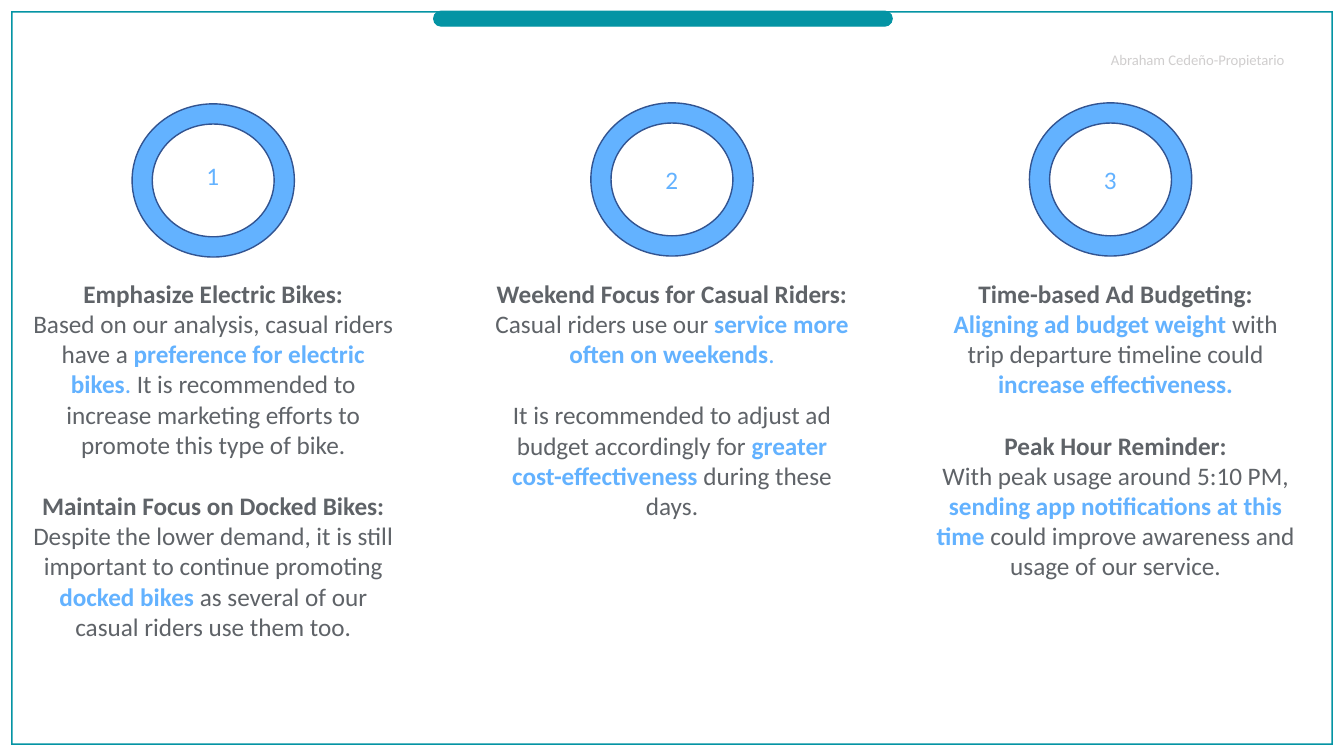
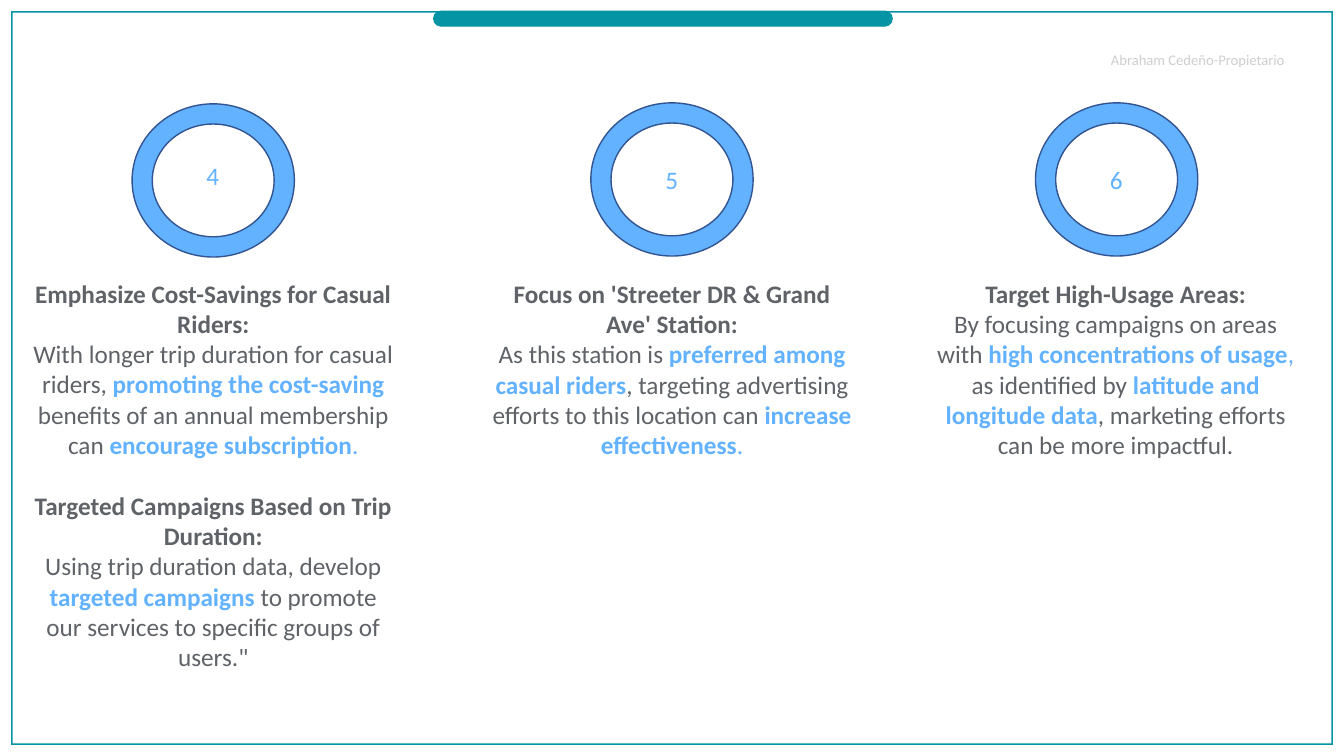
from dataclasses import dataclass

from pptx import Presentation
from pptx.dml.color import RGBColor
from pptx.enum.shapes import MSO_SHAPE
from pptx.enum.text import MSO_AUTO_SIZE, PP_ALIGN
from pptx.util import Inches, Pt


@dataclass(frozen=True)
class Theme:
    """Colours, font and type sizes of the deck."""
    font: str = "Calibri"
    teal: RGBColor = RGBColor(0x04, 0x94, 0xA4)
    accent: RGBColor = RGBColor(0x63, 0xB2, 0xFF)
    ring_line: RGBColor = RGBColor(0x32, 0x54, 0x91)
    text: RGBColor = RGBColor(0x5F, 0x63, 0x68)
    owner: RGBColor = RGBColor(0xD0, 0xCE, 0xCE)
    body_size: float = 18
    owner_size: float = 10.5
    block_gap: float = 22


@dataclass(frozen=True)
class Column:
    """Fixed positions of one column, in inches."""
    text_left: float
    ring_left: float
    ring_top: float
    number_top: float


THEME = Theme()
STYLES = {
    "heading": (THEME.text, True),
    "plain": (THEME.text, False),
    "strong": (THEME.accent, True),
    "light": (THEME.accent, False),
}
LEFT = Column(0.22, 1.31, 1.03, 1.54)
MIDDLE = Column(4.77, 5.86, 1.02, 1.58)
RIGHT = Column(9.17, 10.21, 1.02, 1.58)
RIGHT_SHIFTED = Column(9.17, 10.27, 1.02, 1.58)

SLIDES = [
    [
        (LEFT, "1", 3.74, [
            ("Emphasize Electric Bikes:", [
                ("plain", "Based on our analysis, casual riders have a "),
                ("strong", "preference for electric bikes"),
                ("light", "."),
                ("plain", " It is recommended to increase marketing efforts to promote this type of bike."),
            ]),
            ("Maintain Focus on Docked Bikes:", [
                ("plain", "Despite the lower demand, it is still important to continue promoting "),
                ("strong", "docked bikes "),
                ("plain", "as several of our casual riders use them too."),
            ]),
        ]),
        (MIDDLE, "2", 2.52, [
            ("Weekend Focus for Casual Riders:", [
                ("plain", "Casual riders use our "),
                ("strong", "service more often on weekends"),
                ("light", "."),
            ]),
            (None, [
                ("plain", "It is recommended to adjust ad budget accordingly for "),
                ("strong", "greater cost-effectiveness "),
                ("plain", "during these days."),
            ]),
        ]),
        (RIGHT, "3", 3.13, [
            ("Time-based Ad Budgeting:", [
                ("strong", "Aligning ad budget weight "),
                ("plain", "with trip departure timeline could "),
                ("strong", "increase effectiveness."),
            ]),
            ("Peak Hour Reminder:", [
                ("plain", "With peak usage around 5:10 PM, "),
                ("strong", "sending app notifications at this time "),
                ("plain", "could improve awareness and usage of our service."),
            ]),
        ]),
    ],
    [
        (LEFT, "4", 4.04, [
            ("Emphasize Cost-Savings for Casual Riders:", [
                ("plain", "With longer trip duration for casual riders, "),
                ("strong", "promoting the cost-saving "),
                ("plain", "benefits of an annual membership can "),
                ("strong", "encourage subscription"),
                ("light", "."),
            ]),
            ("Targeted Campaigns Based on Trip Duration:", [
                ("plain", "Using trip duration data, develop "),
                ("strong", "targeted campaigns "),
                ("plain", "to promote our services to specific groups of users.\""),
            ]),
        ]),
        (MIDDLE, "5", 1.92, [
            ("Focus on 'Streeter DR & Grand Ave' Station:", [
                ("plain", "As this station is "),
                ("strong", "preferred among casual riders"),
                ("plain", ", targeting advertising efforts to this location can "),
                ("strong", "increase effectiveness"),
                ("light", "."),
            ]),
        ]),
        (RIGHT_SHIFTED, "6", 1.92, [
            ("Target High-Usage Areas:", [
                ("plain", "By focusing campaigns on areas with "),
                ("strong", "high concentrations of usage"),
                ("light", ", "),
                ("plain", "as identified by "),
                ("strong", "latitude and longitude data"),
                ("plain", ", marketing efforts can be more impactful."),
            ]),
        ]),
    ],
]


def style_font(font, size, color, bold=False):
    """Apply the deck font with a size, colour and weight."""
    font.name = THEME.font
    font.size = Pt(size)
    font.color.rgb = color
    font.bold = bold


def add_shape(slide, kind, place, adjustment, fill, line=None, line_width=1):
    """Add a flat preset shape, outlined only when a line colour is given."""
    shape = slide.shapes.add_shape(kind, *map(Inches, place))
    shape.shadow.inherit = False
    shape.adjustments[0] = adjustment
    shape.fill.solid()
    shape.fill.fore_color.rgb = fill
    if line is None:
        shape.line.fill.background()
    else:
        shape.line.color.rgb = line
        shape.line.width = Pt(line_width)


def add_text_frame(slide, place):
    """Add a wrapping text box that grows with its text."""
    frame = slide.shapes.add_textbox(*map(Inches, place)).text_frame
    frame.word_wrap = True
    frame.auto_size = MSO_AUTO_SIZE.SHAPE_TO_FIT_TEXT
    return frame


def add_label(slide, place, text, size, color):
    """Add a single-line label."""
    frame = add_text_frame(slide, place)
    frame.text = text
    style_font(frame.paragraphs[0].runs[0].font, size, color)


def add_advice(slide, place, blocks):
    """Add centred blocks of an optional heading and a body of styled spans."""
    frame = add_text_frame(slide, place)
    paragraph = None
    for heading, body in blocks:
        lines = [[("heading", heading)], body] if heading else [body]
        for index, spans in enumerate(lines):
            first = paragraph is None
            paragraph = frame.paragraphs[0] if first else frame.add_paragraph()
            paragraph.alignment = PP_ALIGN.CENTER
            if index == 0 and not first:
                paragraph.space_before = Pt(THEME.block_gap)
            for style, text in spans:
                span = paragraph.add_run()
                span.text = text
                style_font(span.font, THEME.body_size, *STYLES[style])


def add_column(slide, column, number, height, blocks):
    """Add a numbered ring with its advice below."""
    add_shape(slide, MSO_SHAPE.DONUT, (column.ring_left, column.ring_top, 1.61, 1.52),
              0.132, THEME.accent, THEME.ring_line)
    add_label(slide, (column.ring_left + 0.64, column.number_top, 0.34, 0.4),
              number, THEME.body_size, THEME.accent)
    add_advice(slide, (column.text_left, 2.71, 3.79, height), blocks)


def add_base_slide(deck):
    """Add a blank slide with the owner line, border and top band."""
    slide = deck.slides.add_slide(deck.slide_layouts[6])
    add_label(slide, (10.92, 0.46, 2.24, 0.29), "Abraham Cedeño-Propietario",
              THEME.owner_size, THEME.owner)
    add_shape(slide, MSO_SHAPE.FRAME, (0.11, 0.11, 13.11, 7.28), 0.002, THEME.teal)
    add_shape(slide, MSO_SHAPE.ROUNDED_RECTANGLE, (4.3, 0.11, 4.55, 0.15), 0.5,
              THEME.teal, THEME.teal, 0.75)
    return slide


def main():
    """Build and save the deck."""
    deck = Presentation()
    deck.slide_width = Inches(13.33)
    deck.slide_height = Inches(7.5)
    for columns in SLIDES:
        slide = add_base_slide(deck)
        for column in columns:
            add_column(slide, *column)
    deck.save("out.pptx")


if __name__ == "__main__":
    main()
